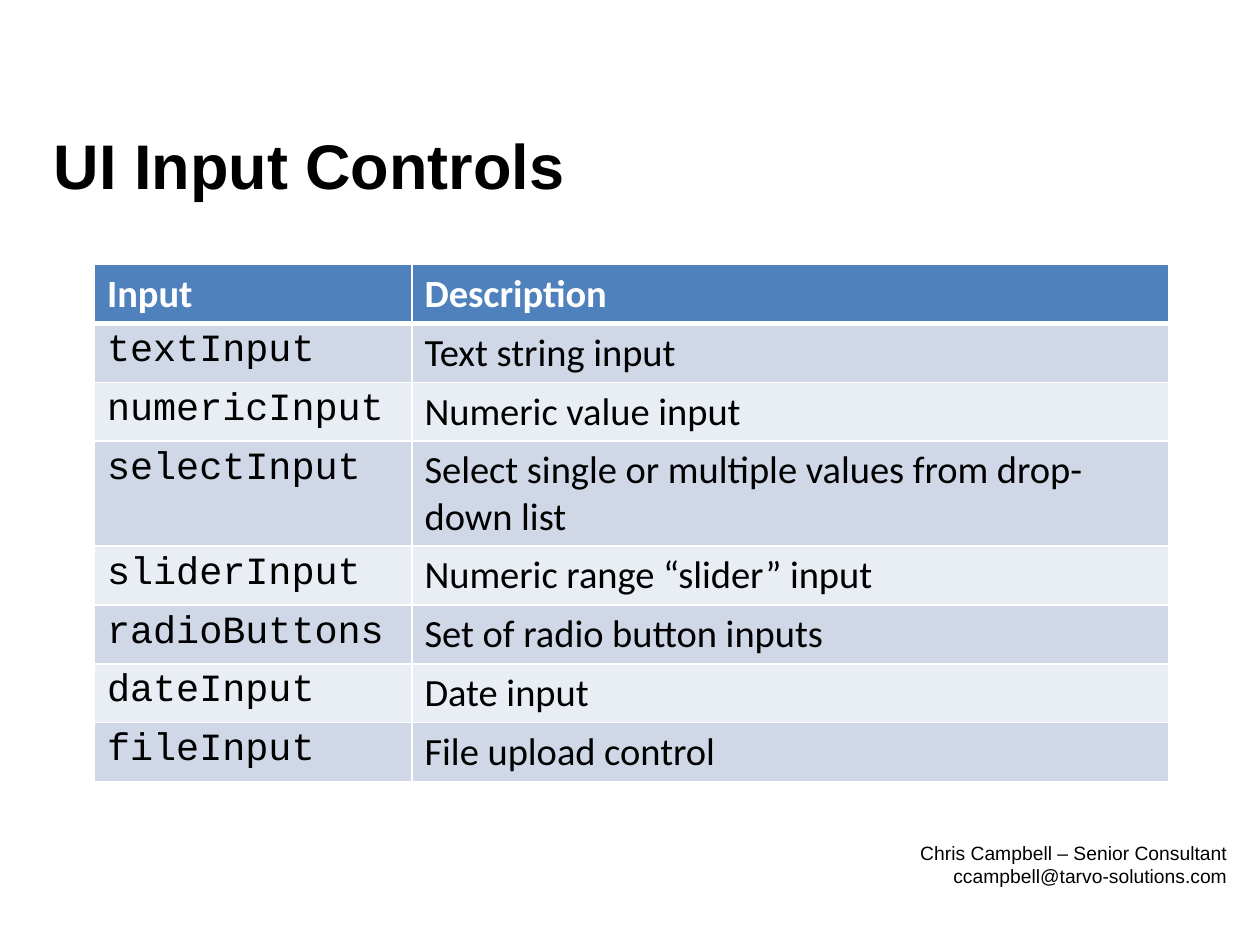
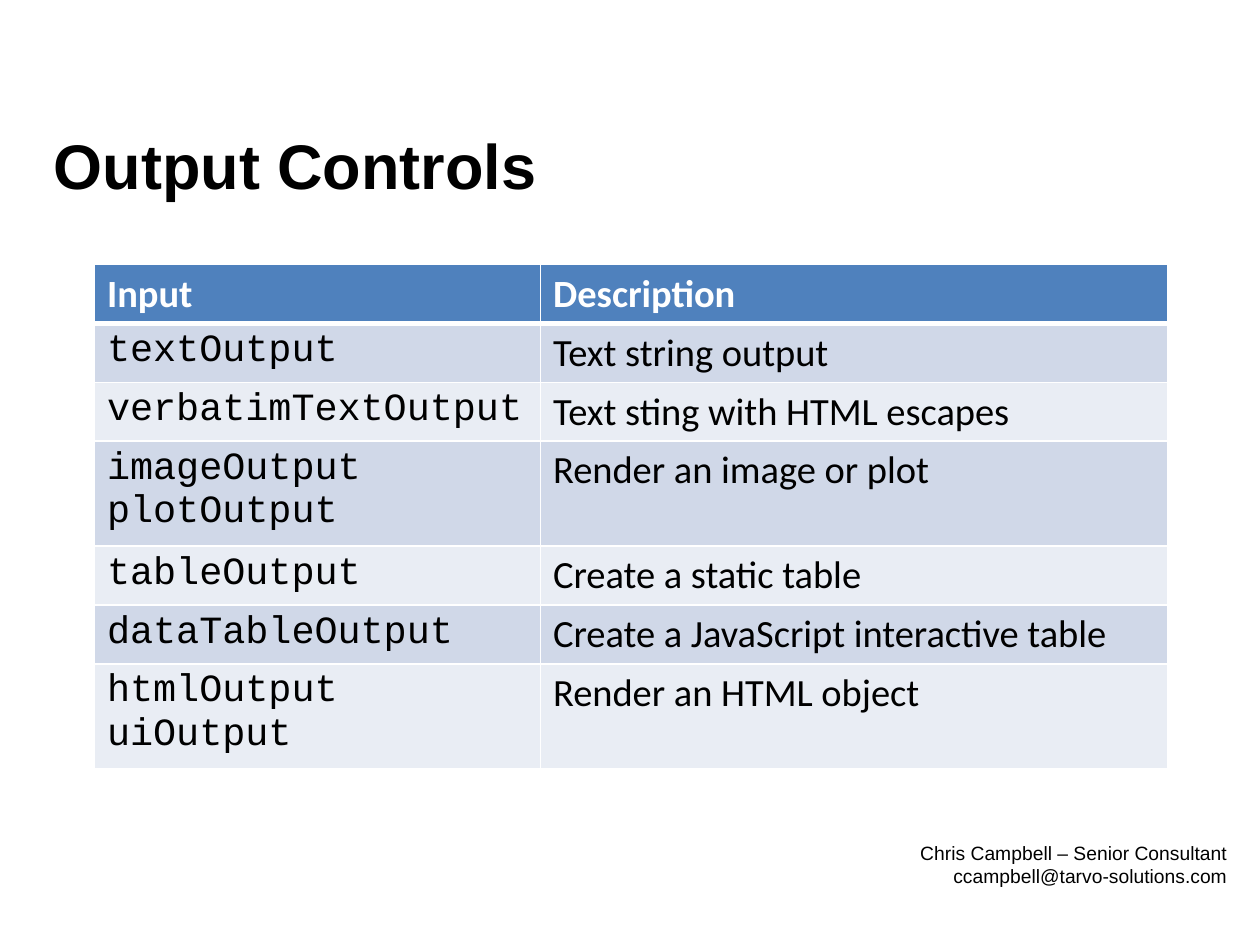
from lxml import etree
from pptx import Presentation
from pptx.dml.color import RGBColor
from pptx.enum.text import MSO_ANCHOR, PP_ALIGN
from pptx.oxml.ns import qn
from pptx.util import Inches, Pt

LEFT, RIGHT = PP_ALIGN.LEFT, PP_ALIGN.RIGHT
TOP, MIDDLE = MSO_ANCHOR.TOP, MSO_ANCHOR.MIDDLE

COLORS = {
    "ink": "000000",
    "white": "FFFFFF",
    "head": "4F81BD",
    "odd": "D0D8E8",
    "even": "E9EDF4",
}
SANS, BODY, CODE = "Arial", "Calibri", "Courier New"
ROW = 0.41

FOOTER = "Chris Campbell – Senior Consultant\nccampbell@tarvo-solutions.com"
HEADER = ("Input", "Description")
INPUTS = [
    ("textInput", "Text string input"),
    ("numericInput", "Numeric value input"),
    ("selectInput", "Select single or multiple values from drop-down list"),
    ("sliderInput", "Numeric range “slider” input"),
    ("radioButtons", "Set of radio button inputs"),
    ("dateInput", "Date input"),
    ("fileInput", "File upload control"),
]
OUTPUTS = [
    ("textOutput", "Text string output"),
    ("verbatimTextOutput", "Text sting with HTML escapes"),
    ("imageOutput\nplotOutput", "Render an image or plot"),
    ("tableOutput", "Create a static table"),
    ("dataTableOutput", "Create a JavaScript interactive table"),
    ("htmlOutput\nuiOutput", "Render an HTML object"),
]


def write(frame, text, font=BODY, size=22, color="ink", bold=False, align=LEFT):
    """Fill a text frame, one paragraph for each line."""
    for i, line in enumerate(text.split("\n")):
        para = frame.paragraphs[0] if i == 0 else frame.add_paragraph()
        para.alignment = align
        run = para.add_run()
        run.text = line
        run.font.name, run.font.size, run.font.bold = font, Pt(size), bold
        run.font.color.rgb = RGBColor.from_string(COLORS[color])


def border(cell, top=1, bottom=1):
    """Draw white lines around a cell, with widths in points."""
    props = cell._tc.get_or_add_tcPr()
    for side, width in (("L", 1), ("R", 1), ("T", top), ("B", bottom)):
        line = etree.SubElement(props, qn(f"a:ln{side}"), w=str(Pt(width)))
        fill = etree.SubElement(line, qn("a:solidFill"))
        etree.SubElement(fill, qn("a:srgbClr"), val=COLORS["white"])


class Deck:
    def __init__(self):
        self.prs = Presentation()
        self.prs.slide_width, self.prs.slide_height = Inches(10), Inches(7.5)
        self.slide = None

    def start(self, title):
        """Add a slide with the shared footer and title."""
        self.slide = self.prs.slides.add_slide(self.prs.slide_layouts[6])
        self.text(FOOTER, 7.18, 6.63, 2.66, 0.47, wrap=False,
                  font=SANS, size=11, align=RIGHT)
        self.text(title, 0.33, 0.68, 9.24, 1.25, anchor=MIDDLE,
                  font=SANS, size=36, bold=True)

    def text(self, text, x, y, w, h, wrap=True, anchor=TOP, **style):
        box = self.slide.shapes.add_textbox(*map(Inches, (x, y, w, h)))
        box.text_frame.word_wrap = wrap
        box.text_frame.vertical_anchor = anchor
        write(box.text_frame, text, **style)

    def table(self, rows, widths):
        count = len(rows) + 1
        area = map(Inches, (0.75, 2.1, sum(widths), ROW * count))
        table = self.slide.shapes.add_table(count, len(widths), *area).table
        table.first_row = table.horz_banding = False
        for col, width in zip(table.columns, widths):
            col.width = Inches(width)
        for r, row in enumerate([HEADER, *rows]):
            table.rows[r].height = Inches(ROW)
            for c, text in enumerate(row):
                self.cell(table.cell(r, c), text, r, c)

    def cell(self, cell, text, r, c):
        # A thick line parts the header from the body
        border(cell, top=3 if r == 1 else 1, bottom=3 if r == 0 else 1)
        if r == 0:
            fill, style = "head", {"color": "white", "bold": True}
        else:
            fill = "odd" if r % 2 else "even"
            style = {"font": BODY if c else CODE}
        cell.fill.solid()
        cell.fill.fore_color.rgb = RGBColor.from_string(COLORS[fill])
        write(cell.text_frame, text, **style)


def main():
    deck = Deck()

    # Input controls
    deck.start("UI Input Controls")
    deck.table(INPUTS, (2.52, 6.01))

    # Output controls
    deck.start("Output Controls")
    deck.table(OUTPUTS, (3.54, 4.98))

    deck.prs.save("out.pptx")


if __name__ == "__main__":
    main()
